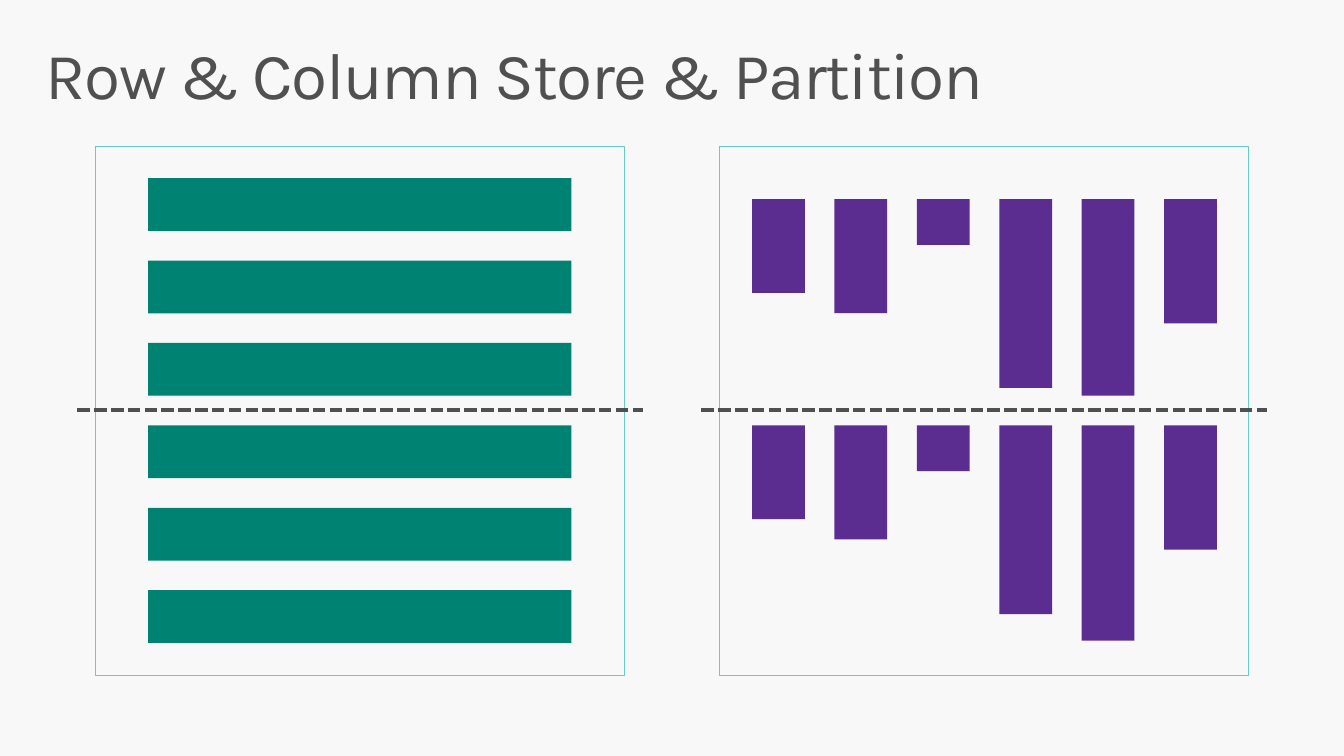
"""Builds a slide that compares partitioned row and column stores."""
from dataclasses import dataclass

import lxml.etree
import pptx
import pptx.dml.color
import pptx.enum.dml
import pptx.enum.shapes
import pptx.enum.text
import pptx.oxml.ns
import pptx.util

Pt = pptx.util.Pt


@dataclass(frozen=True)
class Theme:
    """Colours, font and sizes of the slide."""
    background: str = "F8F8F8"
    text: str = "505050"
    frame: str = "69C8CA"
    row: str = "008272"
    column: str = "5C2D91"
    font: str = "Karla"
    title_size: float = 47
    title_spacing: int = -100
    frame_width: float = 0.85
    divider_width: float = 3


THEME = Theme()
PANEL_TOP, PANEL_SIZE = 104.4, 378
ROW_PANEL_LEFT, COLUMN_PANEL_LEFT = 68.2, 514
BAR_THICKNESS, BAR_PITCH = 37.7, 58.86
ROW_TOP, ROW_INSET, ROW_LENGTH, ROW_COUNT = 127.3, 37.6, 302.4, 6
COLUMN_INSET = 23.2
COLUMN_PARTITIONS = (
    (142.3, (67, 81.4, 32.6, 134.8, 140.4, 88.7)),
    (303.9, (67, 81.4, 32.6, 134.8, 153.8, 88.7)),
)
DIVIDER_TOP, DIVIDER_OVERHANG = 293, 13


def rgb(value):
    """Return the colour object for a hex string."""
    return pptx.dml.color.RGBColor.from_string(value)


def add_text(slide, text, *, left, top, width, height, size, color, spacing):
    """Add a wrapped, top-anchored text box."""
    shape = slide.shapes.add_textbox(Pt(left), Pt(top), Pt(width), Pt(height))
    frame = shape.text_frame
    frame.word_wrap = True
    frame.vertical_anchor = pptx.enum.text.MSO_ANCHOR.TOP
    frame.margin_left = frame.margin_right = Pt(11.5)
    frame.margin_top = frame.margin_bottom = Pt(7.2)
    paragraph = frame.paragraphs[0]
    paragraph.line_spacing = 0.9
    run = paragraph.add_run()
    run.text = text
    run.font.name = THEME.font
    run.font.size = Pt(size)
    run.font.color.rgb = rgb(color)
    run.font._element.set("spc", str(spacing))


def add_rectangle(slide, left, top, width, height, fill=None, line=None):
    """Add a rectangle with an optional fill and outline."""
    shape = slide.shapes.add_shape(
        pptx.enum.shapes.MSO_SHAPE.RECTANGLE, Pt(left), Pt(top), Pt(width), Pt(height))
    shape.shadow.inherit = False
    if fill:
        shape.fill.solid()
        shape.fill.fore_color.rgb = rgb(fill)
    else:
        shape.fill.background()
    if line:
        shape.line.color.rgb = rgb(line)
        shape.line.width = Pt(THEME.frame_width)
    else:
        shape.line.fill.background()


def add_panel(slide, left):
    """Add the square outline around one store."""
    add_rectangle(slide, left, PANEL_TOP, PANEL_SIZE, PANEL_SIZE, line=THEME.frame)


def add_divider(slide, panel_left):
    """Add the dashed partition line across a panel."""
    connector = slide.shapes.add_connector(
        pptx.enum.shapes.MSO_CONNECTOR.STRAIGHT,
        Pt(panel_left - DIVIDER_OVERHANG), Pt(DIVIDER_TOP),
        Pt(panel_left + PANEL_SIZE + DIVIDER_OVERHANG), Pt(DIVIDER_TOP))
    connector.line.color.rgb = rgb(THEME.text)
    connector.line.width = Pt(THEME.divider_width)
    connector.line.dash_style = pptx.enum.dml.MSO_LINE.SQUARE_DOT
    lxml.etree.SubElement(
        connector._element.spPr, pptx.oxml.ns.qn("a:effectLst"))


def add_row_store(slide):
    """Add the panel of equal horizontal bars."""
    add_panel(slide, ROW_PANEL_LEFT)
    for index in range(ROW_COUNT):
        add_rectangle(slide, ROW_PANEL_LEFT + ROW_INSET, ROW_TOP + index * BAR_PITCH,
                      ROW_LENGTH, BAR_THICKNESS, fill=THEME.row)


def add_column_store(slide):
    """Add the panel of vertical bars in two partitions."""
    add_panel(slide, COLUMN_PANEL_LEFT)
    for top, lengths in COLUMN_PARTITIONS:
        for index, length in enumerate(lengths):
            left = COLUMN_PANEL_LEFT + COLUMN_INSET + index * BAR_PITCH
            add_rectangle(slide, left, top, BAR_THICKNESS, length, fill=THEME.column)


def main():
    """Build and save the presentation."""
    presentation = pptx.Presentation()
    presentation.slide_width, presentation.slide_height = Pt(960), Pt(540)
    slide = presentation.slides.add_slide(presentation.slide_layouts[6])
    slide.background.fill.solid()
    slide.background.fill.fore_color.rgb = rgb(THEME.background)
    add_text(slide, "Row & Column Store & Partition", left=21, top=23, width=918,
             height=70.6, size=THEME.title_size, color=THEME.text,
             spacing=THEME.title_spacing)
    add_row_store(slide)
    add_column_store(slide)
    for panel_left in (COLUMN_PANEL_LEFT, ROW_PANEL_LEFT):
        add_divider(slide, panel_left)
    presentation.save("out.pptx")


if __name__ == "__main__":
    main()
